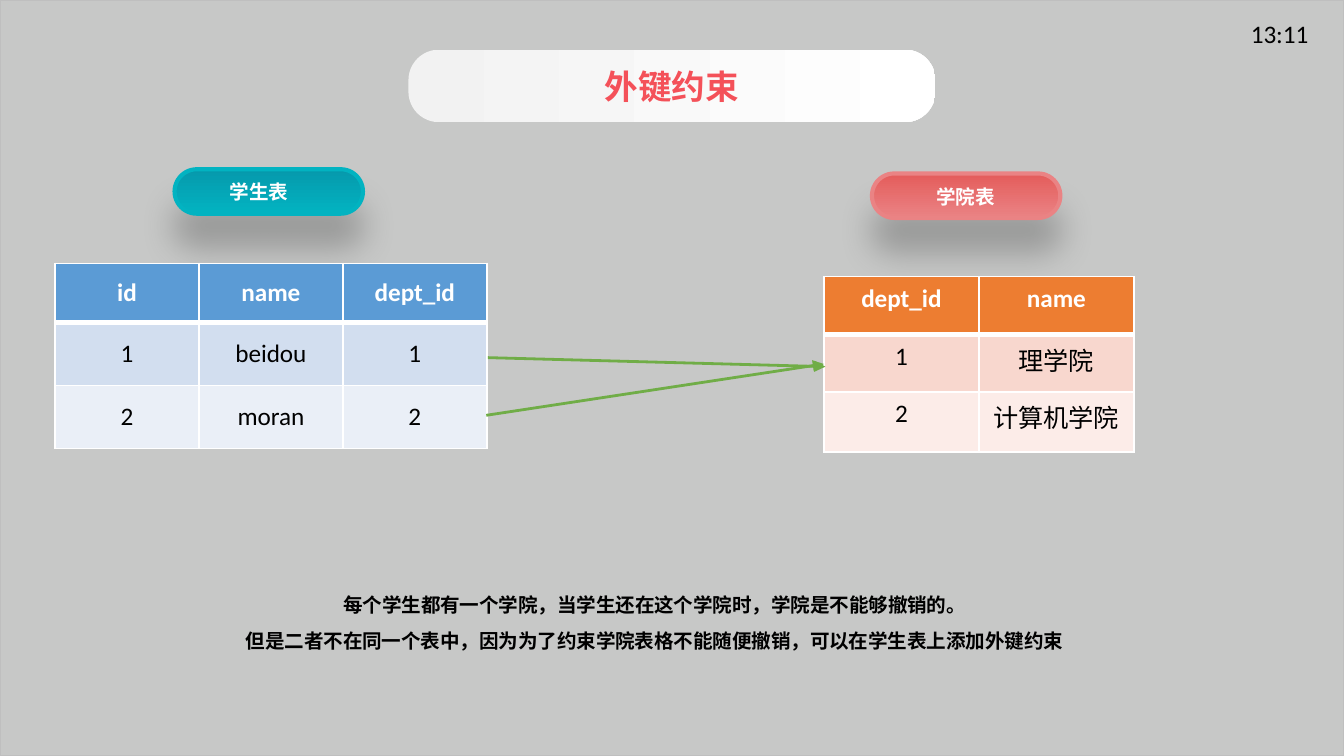
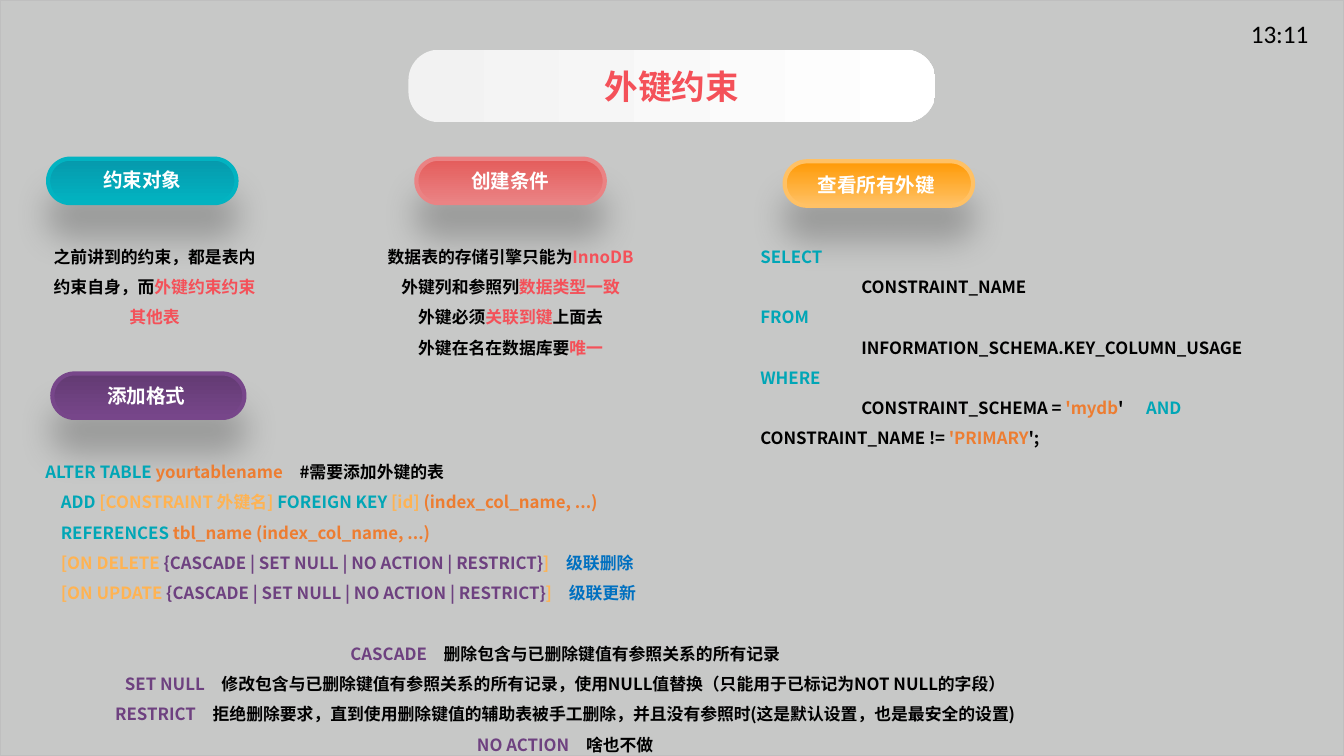
from dataclasses import dataclass
from typing import NamedTuple

from lxml import etree
from pptx import Presentation
from pptx.dml.color import RGBColor
from pptx.enum.shapes import MSO_CONNECTOR, MSO_SHAPE
from pptx.enum.text import MSO_ANCHOR, MSO_AUTO_SIZE, PP_ALIGN
from pptx.oxml.ns import qn
from pptx.util import Cm, Pt

RECT, ROUNDED = MSO_SHAPE.RECTANGLE, MSO_SHAPE.ROUNDED_RECTANGLE
STRAIGHT = MSO_CONNECTOR.STRAIGHT
LEFT, CENTER = PP_ALIGN.LEFT, PP_ALIGN.CENTER
TOP, MIDDLE = MSO_ANCHOR.TOP, MSO_ANCHOR.MIDDLE
GROW = MSO_AUTO_SIZE.SHAPE_TO_FIT_TEXT

LATIN, CJK = "Calibri", "Noto Sans CJK SC"
WIDTH, HEIGHT = Cm(25.4), Cm(14.29)
COLORS = {
    "black": "000000", "white": "FFFFFF", "veil": "020701", "frame": "BFBFBF",
    "shadow": "262626", "banner": "F2F2F2", "accent": "F45159", "arrow": "70AD47",
    "keyword": "00A6B6", "name": "ED7D31", "option": "FFB352", "action": "6E4180",
    "note": "0070C0",
    "teal top": "0699AC", "teal bottom": "02B3C1",
    "red top": "E45C5B", "red bottom": "EA8384",
    "orange top": "FF9A05", "orange bottom": "FFC165",
    "purple top": "633B73", "purple bottom": "77468A",
    "blue head": "5B9BD5", "blue odd": "D2DEEF", "blue even": "EAEFF7",
    "rust head": "ED7D31", "rust odd": "F8D7CE", "rust even": "FCECE8",
}


class Span(NamedTuple):
    text: str
    color: str = "black"


@dataclass
class Line:
    spans: list[Span]
    align: PP_ALIGN = CENTER
    indent: float = 0
    before: float = 0
    tabs: tuple[float, ...] = ()


@dataclass
class TextBlock:
    left: float
    top: float
    width: float
    height: float
    lines: list[Line]
    size: float = 9


@dataclass
class Badge:
    label: str
    tone: str
    left: float
    top: float
    label_left: float
    label_top: float
    width: float = 3.56


@dataclass
class Grid:
    tone: str
    left: float
    top: float
    column: float
    heights: list[float]
    rows: list[list[str]]
    anchor: MSO_ANCHOR


class Arrow(NamedTuple):
    x1: float
    y1: float
    x2: float
    y2: float


def rgb(name: str) -> RGBColor:
    return RGBColor.from_string(COLORS[name])


def add_span(para, span: Span, size: float, font: str = CJK, bold: bool = True) -> None:
    run = para.add_run()
    run.text = span.text
    run.font.size, run.font.name, run.font.bold = Pt(size), font, bold
    run.font.color.rgb = rgb(span.color)
    if font == CJK:
        etree.SubElement(run.font._element, qn("a:ea"), typeface=font)


def add_label(shapes, left: float, top: float, width: float, span: Span,
              size: float, font: str = CJK, bold: bool = True) -> None:
    box = shapes.add_textbox(Cm(left), Cm(top), Cm(width), Cm(0.71))
    box.text_frame.word_wrap = False
    box.text_frame.auto_size = GROW
    add_span(box.text_frame.paragraphs[0], span, size, font, bold)


def fill_gradient(shape, start: str, end: str, angle: float) -> None:
    shape.fill.gradient()
    shape.fill.gradient_angle = angle
    for stop, name in zip(shape.fill.gradient_stops, (start, end)):
        stop.color.rgb = rgb(name)


def set_alpha(color_element, percent: int) -> None:
    etree.SubElement(color_element, qn("a:alpha"), val=str(percent * 1000))


def add_shadow(shape) -> None:
    effects = shape._element.spPr.find(qn("a:effectLst"))
    outer = etree.SubElement(effects, qn("a:outerShdw"), blurRad=str(Pt(18)),
                             dist=str(Pt(18)), dir="5400000", rotWithShape="0")
    color = etree.SubElement(outer, qn("a:srgbClr"), val=COLORS["shadow"])
    set_alpha(color, 28)


def start_slide(deck, title: str):
    """Add a slide with the grey veil, the clock and the title banner."""
    page = deck.slides.add_slide(deck.slide_layouts[6])
    veil = page.shapes.add_shape(RECT, 0, 0, WIDTH, HEIGHT)
    veil.shadow.inherit = False
    veil.fill.solid()
    veil.fill.fore_color.rgb = rgb("veil")
    set_alpha(veil._element.spPr.find(qn("a:solidFill"))[0], 22)
    veil.line.color.rgb = rgb("frame")
    veil.line.width = Pt(1)
    add_label(page.shapes, 23.39, 0.23, 1.7, Span("13:11"), 13.5, LATIN, False)

    banner = page.shapes.add_shape(ROUNDED, Cm(7.72), Cm(0.94), Cm(9.96), Cm(1.37))
    banner.adjustments[0] = 0.42
    banner.shadow.inherit = False
    fill_gradient(banner, "banner", "white", 0)
    banner.line.fill.background()
    banner.text_frame.vertical_anchor = MIDDLE
    para = banner.text_frame.paragraphs[0]
    para.alignment = CENTER
    add_span(para, Span(title, "accent"), 18)
    return page


def add_badge(page, badge: Badge) -> None:
    group = page.shapes.add_group_shape()
    pill = group.shapes.add_shape(ROUNDED, Cm(badge.left), Cm(badge.top),
                                  Cm(badge.width), Cm(0.84))
    pill.adjustments[0] = 0.5
    fill_gradient(pill, f"{badge.tone} top", f"{badge.tone} bottom", 270)
    pill.line.color.rgb = rgb(f"{badge.tone} bottom")
    pill.line.width = Pt(2.25)
    pill.shadow.inherit = False
    add_shadow(pill)
    label_width = 0.51 + 0.37 * len(badge.label)
    add_label(group.shapes, badge.label_left, badge.label_top, label_width,
              Span(badge.label, "white"), 10.5)


def add_text(page, block: TextBlock) -> None:
    box = page.shapes.add_textbox(Cm(block.left), Cm(block.top),
                                  Cm(block.width), Cm(block.height))
    frame = box.text_frame
    frame.word_wrap = True
    frame.auto_size = GROW
    for index, line in enumerate(block.lines):
        para = frame.add_paragraph() if index else frame.paragraphs[0]
        para.alignment, para.line_spacing = line.align, 1.5
        if line.before:
            para.space_before = Pt(line.before)
        props = para._p.get_or_add_pPr()
        if line.indent:
            props.set("marL", str(Cm(line.indent)))
        if line.tabs:
            stops = etree.SubElement(props, qn("a:tabLst"))
            for tab in line.tabs:
                etree.SubElement(stops, qn("a:tab"), pos=str(Cm(tab)), algn="l")
        for span in line.spans:
            add_span(para, span, block.size)


def set_borders(cell, widths: dict[str, float]) -> None:
    props = cell._tc.get_or_add_tcPr()
    for index, (side, width) in enumerate(widths.items()):
        border = etree.Element(qn(f"a:ln{side}"), w=str(Pt(width)))
        fill = etree.SubElement(border, qn("a:solidFill"))
        etree.SubElement(fill, qn("a:srgbClr"), val=COLORS["white"])
        props.insert(index, border)


def add_grid(page, grid: Grid) -> None:
    columns = len(grid.rows[0])
    table = page.shapes.add_table(len(grid.rows), columns, Cm(grid.left), Cm(grid.top),
                                  Cm(grid.column * columns), Cm(sum(grid.heights))).table
    for column in table.columns:
        column.width = Cm(grid.column)
    for r, (height, texts) in enumerate(zip(grid.heights, grid.rows)):
        table.rows[r].height = Cm(height)
        shade = "head" if r == 0 else "odd" if r % 2 else "even"
        for c, text in enumerate(texts):
            cell = table.cell(r, c)
            cell.vertical_anchor = grid.anchor
            cell.fill.solid()
            cell.fill.fore_color.rgb = rgb(f"{grid.tone} {shade}")
            set_borders(cell, {"L": 1, "R": 1, "T": 3 if r == 1 else 1,
                               "B": 3 if r == 0 else 1})
            para = cell.text_frame.paragraphs[0]
            para.alignment = CENTER
            add_span(para, Span(text, "black" if r else "white"), 13.5, LATIN, r == 0)


def add_arrow(page, arrow: Arrow) -> None:
    line = page.shapes.add_connector(STRAIGHT, *(Cm(value) for value in arrow))
    line.line.color.rgb = rgb("arrow")
    line.line.width = Pt(1.5)
    etree.SubElement(line.line._get_or_add_ln(), qn("a:tailEnd"), type="triangle")
    etree.SubElement(line._element.spPr, qn("a:effectLst"))


def code(*spans: Span, indent: float = 0, tabs: tuple[float, ...] = ()) -> Line:
    return Line(list(spans), LEFT, indent, tabs=tabs)


def cascade_rule(event: str, note: str) -> Line:
    return code(Span(f"[ON {event} ", "option"),
                Span("{CASCADE | SET NULL | NO ACTION | RESTRICT}", "action"),
                Span("]　", "option"), Span(note, "note"), indent=0.29)


def meaning(action: str, text: str, before: float = 0) -> Line:
    return Line([Span(f"{action}　", "action"), Span(text)], before=before)


TABLE_BADGES = [
    Badge("学生表", "teal", 3.3, 3.2, 4.09, 3.28),
    Badge("学院表", "red", 16.48, 3.28, 17.45, 3.38),
]
GRIDS = [
    Grid("blue", 1.04, 4.98, 2.72, [1.12, 1.19, 1.19],
         [["id", "name", "dept_id"], ["1", "beidou", "1"], ["2", "moran", "2"]], MIDDLE),
    Grid("rust", 15.57, 5.23, 2.93, [1.09, 1.09, 1.14],
         [["dept_id", "name"], ["1", "理学院"], ["2", "计算机学院"]], TOP),
]
ARROWS = [Arrow(9.22, 6.76, 15.6, 6.93), Arrow(9.19, 7.85, 15.57, 6.88)]
SUMMARY = TextBlock(3.02, 10.87, 18.72, 1.52, [
    Line([Span("每个学生都有一个学院，当学生还在这个学院时，学院是不能够撤销的。")]),
    Line([Span("但是二者不在同一个表中，因为为了约束学院表格不能随便撤销，"
               "可以在学生表上添加外键约束")]),
], 10.5)

TOPIC_BADGES = [
    Badge("约束对象", "teal", 0.91, 3, 1.7, 3.05),
    Badge("创建条件", "red", 7.87, 3, 8.66, 3.07),
    Badge("查看所有外键", "orange", 14.83, 3.05, 15.21, 3.15),
    Badge("添加格式", "purple", 0.99, 7.06, 1.78, 7.14, 3.63),
]
TARGET = TextBlock(0.61, 4.34, 4.62, 1.93, [
    Line([Span("之前讲到的约束，都是表内约束自身，而"), Span("外键约束约束其他表", "accent")]),
])
CONDITIONS = TextBlock(6.96, 4.34, 5.38, 2.49, [
    Line([Span("数据表的存储引擎只能为"), Span("InnoDB", "accent")]),
    Line([Span("外键列和参照列"), Span("数据类型一致", "accent")]),
    Line([Span("外键必须"), Span("关联到键", "accent"), Span("上面去")]),
    Line([Span("外键在名在数据库要"), Span("唯一", "accent")]),
])
QUERY = TextBlock(14.12, 4.34, 10.36, 4.22, [
    code(Span("SELECT", "keyword")),
    code(Span("\tCONSTRAINT_NAME"), tabs=(1.91,)),
    code(Span("FROM", "keyword")),
    code(Span("\tINFORMATION_SCHEMA.KEY_COLUMN_USAGE"), tabs=(1.91,)),
    code(Span("WHERE", "keyword")),
    code(Span("\tCONSTRAINT_SCHEMA = "), Span("'mydb", "name"), Span("'\t"),
         Span("AND", "keyword"), Span(" CONSTRAINT_NAME != "),
         Span("'PRIMARY", "name"), Span("';"), tabs=(1.91, 7.29)),
])
SYNTAX = TextBlock(0.61, 8.41, 20.14, 6.02, [
    code(Span("ALTER TABLE ", "keyword"), Span("yourtablename　", "name"),
         Span("#需要添加外键的表")),
    code(Span("ADD ", "keyword"), Span("[CONSTRAINT 外键名] ", "option"),
         Span("FOREIGN KEY ", "keyword"), Span("[id] ", "option"),
         Span("(index_col_name, ...)", "name"), indent=0.29),
    code(Span("REFERENCES ", "keyword"), Span("tbl_name (index_col_name, ...)", "name"),
         indent=0.29),
    cascade_rule("DELETE", "级联删除"),
    cascade_rule("UPDATE", "级联更新"),
    meaning("CASCADE", "删除包含与已删除键值有参照关系的所有记录", before=16.2),
    meaning("SET NULL", "修改包含与已删除键值有参照关系的所有记录，使用NULL值替换"
            "（只能用于已标记为NOT NULL的字段）"),
    meaning("RESTRICT", "拒绝删除要求，直到使用删除键值的辅助表被手工删除，并且没有参照时"
            "(这是默认设置，也是最安全的设置)"),
    meaning("NO ACTION", "啥也不做"),
])


def main() -> None:
    deck = Presentation()
    deck.slide_width, deck.slide_height = WIDTH, HEIGHT

    page = start_slide(deck, "外键约束")
    for badge in TABLE_BADGES:
        add_badge(page, badge)
    for grid in GRIDS:
        add_grid(page, grid)
    for arrow in ARROWS:
        add_arrow(page, arrow)
    add_text(page, SUMMARY)

    page = start_slide(deck, "外键约束")
    for badge in TOPIC_BADGES:
        add_badge(page, badge)
    for block in (TARGET, CONDITIONS, QUERY, SYNTAX):
        add_text(page, block)

    deck.save("out.pptx")


if __name__ == "__main__":
    main()
